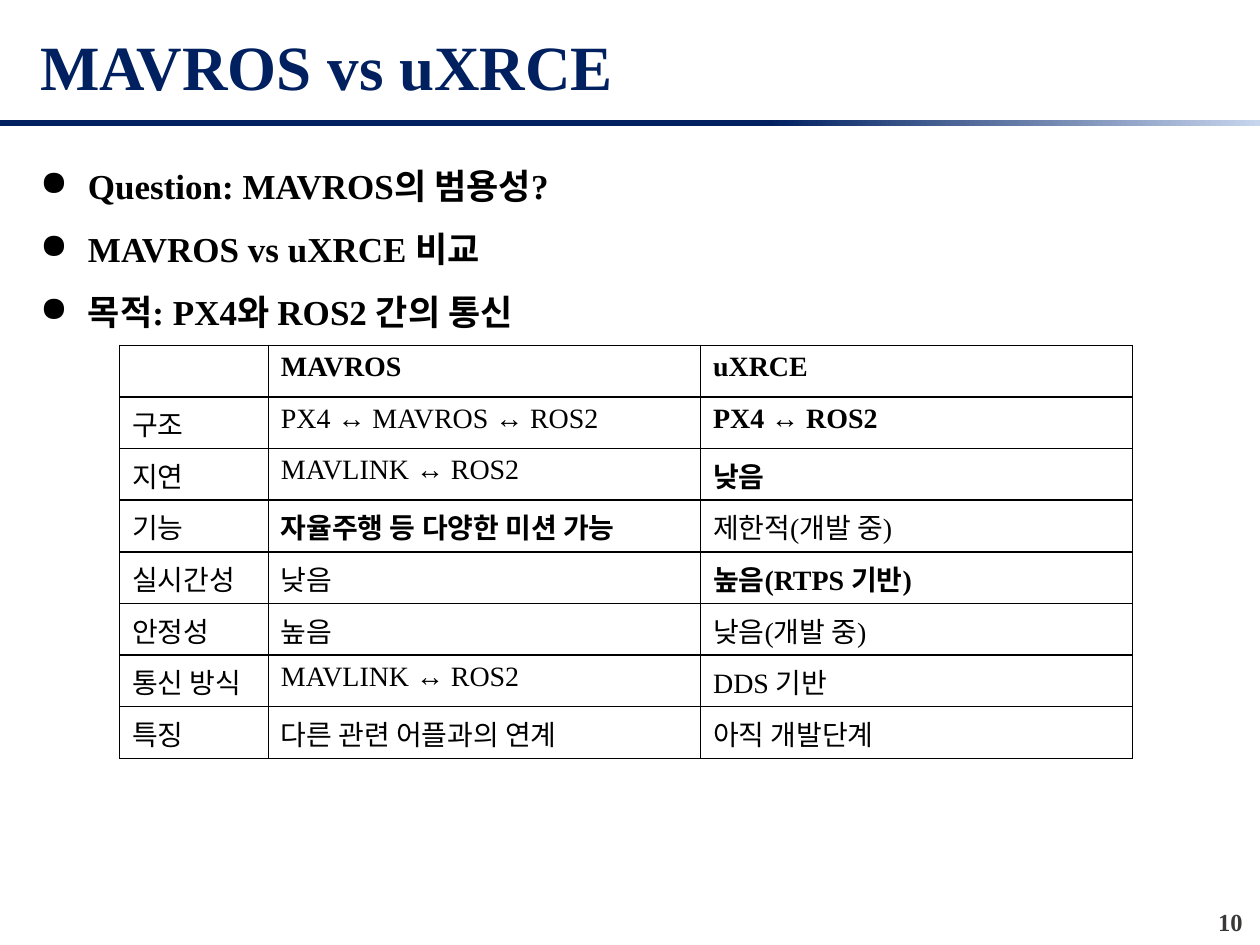
import pptx
import pptx.dml.color
import pptx.enum.shapes
import pptx.enum.text
import pptx.oxml
import pptx.oxml.ns
import pptx.util
from pptx.util import Inches

NAVY, BLACK, GRAY, PALE = "002060", "000000", "3B3838", "C7D5ED"
ALIGN = pptx.enum.text.PP_ALIGN
ANCHOR = pptx.enum.text.MSO_ANCHOR


def color(code):
    return pptx.dml.color.RGBColor.from_string(code)


def node(text):
    ns = pptx.oxml.ns.nsdecls("a")
    return pptx.oxml.parse_xml(text.replace(" ", f" {ns} ", 1))


class Deck:
    face = "Times New Roman"

    def __init__(self, slide):
        self.slide = slide

    def style(self, para, size, code, bold):
        font = para.font
        font.name, font.size, font.bold = self.face, pptx.util.Pt(size), bold
        font.color.rgb = color(code)

    def text(self, box, lines, size, code, align=ALIGN.LEFT,
             anchor=ANCHOR.TOP, bullet=None):
        frame = self.slide.shapes.add_textbox(*map(Inches, box)).text_frame
        frame.word_wrap = True
        frame.vertical_anchor = anchor
        frame.text = "\n".join(lines)
        for para in frame.paragraphs:
            para.alignment = align
            if bullet:
                para.line_spacing = 1.5
                props = para._p.get_or_add_pPr()
                props.set("marL", str(Inches(0.38)))
                props.set("indent", str(-Inches(0.38)))
                props.append(node(f'<a:buChar char="{bullet}"/>'))
            self.style(para, size, code, True)

    def bar(self, box, stops):
        kind = pptx.enum.shapes.MSO_SHAPE.RECTANGLE
        shape = self.slide.shapes.add_shape(kind, *map(Inches, box))
        shape.shadow.inherit = False
        shape.line.fill.background()
        shape.fill.gradient()
        shape.fill.gradient_angle = 0
        for stop, (place, code) in zip(shape.fill.gradient_stops, stops):
            stop.position = place
            stop.color.rgb = color(code)

    def border(self, cell, code, width):
        props = cell._tc.get_or_add_tcPr()
        for spot, side in enumerate("LRTB"):
            props.insert(spot, node(
                f'<a:ln{side} w="{pptx.util.Pt(width)}"><a:solidFill>'
                f'<a:srgbClr val="{code}"/></a:solidFill></a:ln{side}>'))

    def table(self, left, top, widths, height, rows, bold):
        frame = self.slide.shapes.add_table(
            len(rows), len(widths), Inches(left), Inches(top),
            Inches(sum(widths)), Inches(height * len(rows)))
        table = frame.table
        table.first_row = table.horz_banding = False
        for col, width in zip(table.columns, widths):
            col.width = Inches(width)
        for r, row in enumerate(rows):
            table.rows[r].height = Inches(height)
            for c, words in enumerate(row):
                cell = table.cell(r, c)
                cell.text = words
                cell.fill.background()
                self.border(cell, BLACK, 1)
                self.style(cell.text_frame.paragraphs[0], 16, BLACK,
                           (r, c) in bold)


def main():
    show = pptx.Presentation()
    show.slide_width, show.slide_height = Inches(10), Inches(7.5)
    deck = Deck(show.slides.add_slide(show.slide_layouts[6]))

    # Points to discuss
    deck.text((0.22, 1.09, 9.5, 1.55),
              ["Question: MAVROS의 범용성?", "MAVROS vs uXRCE 비교",
               "목적: PX4와 ROS2 간의 통신"],
              20, BLACK, bullet="●")

    # Page number
    deck.text((9.54, 7.15, 0.42, 0.3), ["10"], 14, GRAY, ALIGN.RIGHT)

    # Title and rule
    deck.text((0.22, 0.12, 9.5, 0.8), ["MAVROS vs uXRCE"], 36, NAVY,
              anchor=ANCHOR.MIDDLE)
    deck.bar((0, 0.95, 10, 0.05), [(0.61, NAVY), (1, PALE)])

    # Comparison, with the stronger side in bold
    rows = [
        ("", "MAVROS", "uXRCE"),
        ("구조", "PX4 ↔ MAVROS ↔ ROS2", "PX4 ↔ ROS2"),
        ("지연", "MAVLINK ↔ ROS2", "낮음"),
        ("기능", "자율주행 등 다양한 미션 가능", "제한적(개발 중)"),
        ("실시간성", "낮음", "높음(RTPS 기반)"),
        ("안정성", "높음", "낮음(개발 중)"),
        ("통신 방식", "MAVLINK ↔ ROS2", "DDS 기반"),
        ("특징", "다른 관련 어플과의 연계", "아직 개발단계"),
    ]
    bold = {(0, 1), (0, 2), (1, 2), (2, 2), (3, 1), (4, 2)}
    deck.table(0.95, 2.74, (1.18, 3.43, 3.43), 0.41, rows, bold)

    show.save("out.pptx")


if __name__ == "__main__":
    main()
